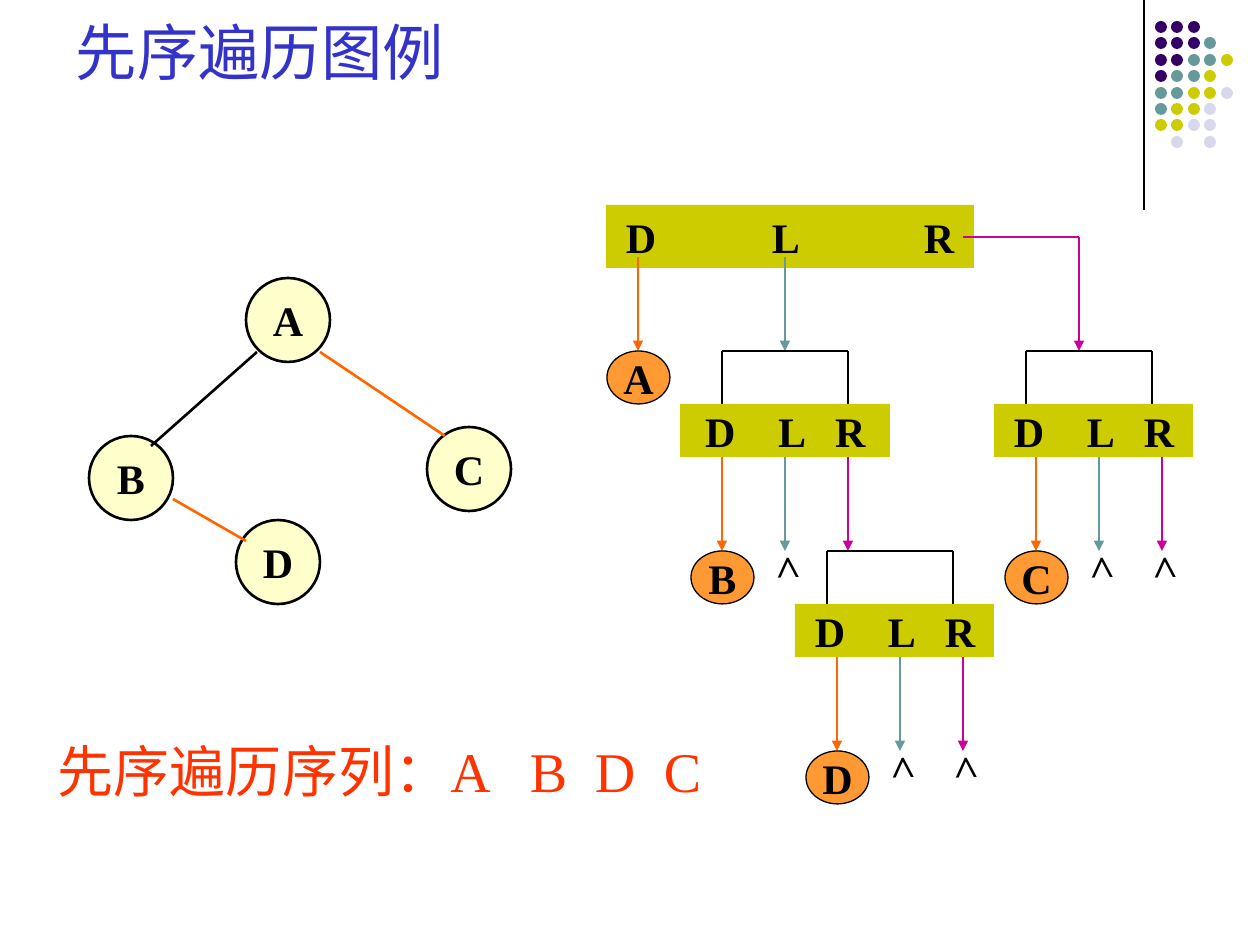
from dataclasses import dataclass
from lxml.etree import SubElement
from pptx import Presentation
from pptx.dml.color import RGBColor
from pptx.enum.shapes import MSO_CONNECTOR, MSO_SHAPE
from pptx.enum.text import MSO_ANCHOR, PP_ALIGN
from pptx.oxml.ns import qn
from pptx.util import Emu, Pt


@dataclass(frozen=True)
class Theme:
    ink: str = "000000"
    title: str = "3333CC"
    answer: str = "FF3300"
    node: str = "FFFFCC"
    bar: str = "CCCC00"
    visit: str = "FF9933"
    data: str = "FF6600"
    left: str = "669999"
    right: str = "CC0099"
    dots: tuple = ("330066", "669999", "CCCC00", "D8D8EC")
    sans: str = "Arial"
    serif: str = "Times New Roman"
    title_size: int = 35
    answer_size: int = 32
    label_size: int = 24
    thick: float = 1.5
    thin: float = 0.75


THEME = Theme()
DOT_ROWS = ("000", "0001", "00112", "0112", "11223", "1223", "2233", " 3 3")
STEP = 63
ARROW = 94
LEAF_W, LEAF_H = 63, 53
BAR_H = 53


def px(n):
    return Emu(round(n * 914400 / 126))


def rgb(code):
    return RGBColor.from_string(code)


def write(sp, text, size, color, name=THEME.serif, bold=False, tabs=(), align=PP_ALIGN.LEFT, **frame):
    tf = sp.text_frame
    frame = {"word_wrap": True, "vertical_anchor": MSO_ANCHOR.TOP,
             "margin_left": px(13), "margin_right": px(13),
             "margin_top": px(6), "margin_bottom": px(6), **frame}
    for key, value in frame.items():
        setattr(tf, key, value)
    p = tf.paragraphs[0]
    p.alignment = align
    if tabs:
        tab_list = SubElement(p._p.get_or_add_pPr(), qn("a:tabLst"))
        for pos in tabs:
            SubElement(tab_list, qn("a:tab"), pos=str(px(pos)), algn="l")
    r = p.add_run()
    r.text = text
    for key, value in {"name": name, "size": Pt(size), "bold": bold}.items():
        setattr(r.font, key, value)
    r.font.color.rgb = rgb(color)


def add_box(s, kind, x, y, w, h, fill, width=None):
    sp = s.shapes.add_shape(kind, px(x), px(y), px(w), px(h))
    sp.shadow.inherit = False
    sp.fill.solid()
    sp.fill.fore_color.rgb = rgb(fill)
    if width:
        sp.line.color.rgb = rgb(THEME.ink)
        sp.line.width = Pt(width)
    else:
        sp.line.fill.background()
    return sp


def add_line(s, x1, y1, x2, y2, color=THEME.ink, arrow=False, width=THEME.thick):
    line = s.shapes.add_connector(MSO_CONNECTOR.STRAIGHT, px(x1), px(y1), px(x2), px(y2))
    line.line.color.rgb = rgb(color)
    line.line.width = Pt(width)
    props = line.element.spPr
    if arrow:
        SubElement(props.find(qn("a:ln")), qn("a:tailEnd"), type="triangle")
    SubElement(props, qn("a:effectLst"))


def add_circle(s, label, x, y, w, h, fill, width):
    sp = add_box(s, MSO_SHAPE.OVAL, x, y, w, h, fill, width)
    write(sp, label, THEME.label_size, THEME.ink, bold=True, align=PP_ALIGN.CENTER,
          word_wrap=False, vertical_anchor=MSO_ANCHOR.MIDDLE)


def add_node(s, label, cx, cy):
    add_circle(s, label, cx - 42, cy - 42, 84, 84, THEME.node, THEME.thick)


def add_visit(s, label, cx, y):
    add_circle(s, label, cx - LEAF_W // 2, y, LEAF_W, LEAF_H, THEME.visit, THEME.thin)


def add_null(s, cx, y):
    sp = s.shapes.add_textbox(px(cx - 26), px(y - 16), px(53), px(63))
    sp.rotation = 268.3
    write(sp, ">", THEME.label_size, THEME.ink, bold=True)


def add_bar(s, x, y, w, h, inset, tabs):
    sp = add_box(s, MSO_SHAPE.RECTANGLE, x, y, w, h, THEME.bar)
    write(sp, "D\tL\tR", THEME.label_size, THEME.ink, bold=True, tabs=tabs,
          margin_left=px(inset), margin_right=0, vertical_anchor=MSO_ANCHOR.MIDDLE)


def add_call(s, label, x, y, w, inset, bracket_x, null_right=True):
    right_x, top = bracket_x + 2 * STEP, y - 53
    add_line(s, bracket_x, top, right_x, top)
    for side in (bracket_x, right_x):
        add_line(s, side, top, side, y)
    add_bar(s, x, y, w, BAR_H, inset, (73, 130))
    start = y + BAR_H
    end = start + ARROW
    for i, color in enumerate((THEME.data, THEME.left, THEME.right)):
        add_line(s, x + 42 + i * STEP, start, x + 42 + i * STEP, end, color, arrow=True)
    add_visit(s, label, x + 42, end)
    add_null(s, x + 42 + STEP, end)
    if null_right:
        add_null(s, x + 42 + 2 * STEP, end)


def add_decoration(s):
    add_line(s, 1144, 0, 1144, 210, width=THEME.thin)
    for row, marks in enumerate(DOT_ROWS):
        for col, mark in enumerate(marks):
            if mark != " ":
                add_box(s, MSO_SHAPE.OVAL, round(1155 + 16.4 * col), round(21 + 16.4 * row),
                        12, 12, THEME.dots[int(mark)])


def add_title(s, text):
    sp = s.shapes.title
    for key, value in {"left": 63, "top": 16, "width": 1061, "height": 78}.items():
        setattr(sp, key, px(value))
    write(sp, text, THEME.title_size, THEME.title, THEME.sans, vertical_anchor=MSO_ANCHOR.BOTTOM)


def add_tree(s):
    for label, cx, cy in (("A", 288, 320), ("D", 278, 562), ("B", 131, 478), ("C", 469, 469)):
        add_node(s, label, cx, cy)
    add_line(s, 257, 352, 151, 446)
    add_line(s, 320, 352, 445, 436, THEME.data)
    add_line(s, 173, 499, 246, 541, THEME.data)


def add_traversal(s):
    add_bar(s, 606, 205, 368, 63, 20, (146, 298))
    add_line(s, 638, 257, 638, 351, THEME.data, arrow=True)
    add_visit(s, "A", 638, 351)
    add_line(s, 785, 257, 785, 351, THEME.left, arrow=True)
    add_line(s, 963, 237, 1079, 237, THEME.right)
    add_line(s, 1079, 237, 1079, 351, THEME.right, arrow=True)
    add_call(s, "B", 680, 404, 210, 25, 722, null_right=False)
    add_call(s, "D", 795, 604, 199, 20, 827)
    add_call(s, "C", 994, 404, 199, 20, 1026)


def add_answer(s):
    sp = s.shapes.add_textbox(px(45), px(730), px(670), px(81))
    write(sp, "先序遍历序列：A\tB\tD\tC", THEME.answer_size, THEME.answer, tabs=(472, 537, 606))


def main():
    prs = Presentation()
    prs.slide_width, prs.slide_height = px(1260), px(945)
    s = prs.slides.add_slide(prs.slide_layouts[5])
    add_decoration(s)
    add_title(s, "先序遍历图例")
    add_tree(s)
    add_traversal(s)
    add_answer(s)
    prs.save("out.pptx")


if __name__ == "__main__":
    main()
